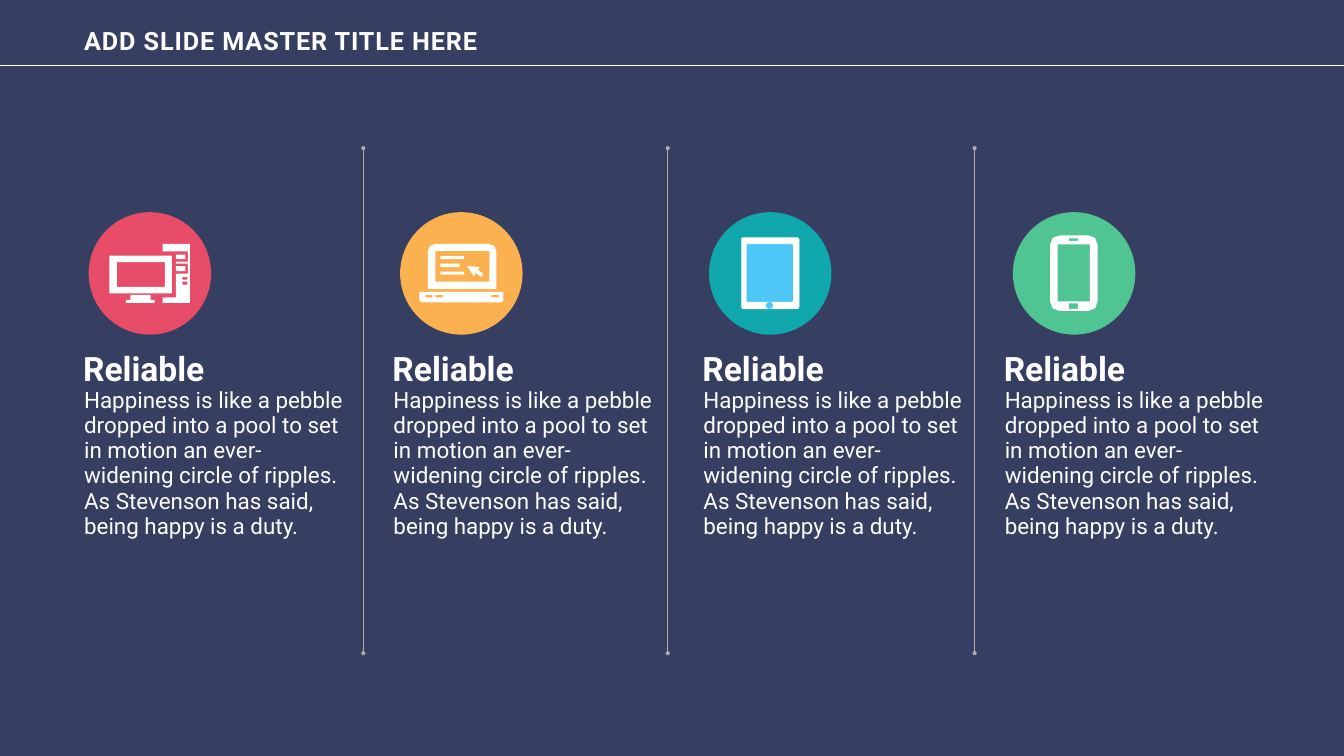
from lxml import etree
from pptx import Presentation
from pptx import util as u
from pptx.dml.color import RGBColor
from pptx.enum import shapes, text
from pptx.oxml.ns import qn

PX = u.Inches(1) // 100
WHITE = "FFFFFF"
SKY = "4EC7F6"
BODY = ("Happiness is like a pebble dropped into a pool to set in motion an "
        "ever-widening circle of ripples. As Stevenson has said, being happy is a duty.")


def paint(target, colour):
    target.solid()
    target.fore_color.rgb = RGBColor.from_string(colour)


def rectangle(left, top, right, bottom):
    return [(left, top), (right, top), (right, bottom), (left, bottom)]


deck = Presentation()
deck.slide_width = 2667 * PX
deck.slide_height = 1500 * PX
page = deck.slides.add_slide(deck.slide_layouts[6])
paint(page.background.fill, "363E62")

OVAL = shapes.MSO_SHAPE.OVAL
ROUNDED = shapes.MSO_SHAPE.ROUNDED_RECTANGLE
preset_shapes = [
    (OVAL, 2010, 421, 243, 243, "50C593", 0),
    (OVAL, 176, 421, 243, 243, "E74D69", 0),
    (OVAL, 794, 421, 243, 243, "FBB150", 0),
    (OVAL, 1407, 421, 243, 243, "10A8AD", 0),
    (ROUNDED, 1471, 471, 115, 142, WHITE, 0.04),
    (OVAL, 1520, 599, 14, 14, SKY, 0),
    (ROUNDED, 1481, 484, 93, 115, SKY, 0.03),
]
for kind, left, top, width, height, colour, radius in preset_shapes:
    shape = page.shapes.add_shape(kind, left * PX, top * PX, width * PX, height * PX)
    shape.shadow.inherit = False
    paint(shape.fill, colour)
    if kind == ROUNDED:
        shape.adjustments[0] = radius
        paint(shape.line.fill, WHITE)
        shape.line.width = u.Pt(0.25)
    else:
        shape.line.fill.background()

phone = [
    [(2084, 485), (2089, 472), (2103, 467), (2160, 467), (2173, 472), (2178, 485),
     (2178, 599), (2173, 612), (2160, 617), (2103, 617), (2089, 612), (2084, 599)],
    rectangle(2099, 485, 2163, 598),
    rectangle(2121, 602, 2139, 613),
    rectangle(2121, 473, 2139, 478),
]
computer = [
    rectangle(217, 507, 341, 582),
    rectangle(232, 520, 327, 569),
    [(323, 601), (377, 601), (377, 484), (323, 484), (323, 499), (373, 499),
     (373, 519), (349, 519), (349, 523), (373, 523), (373, 543), (349, 543),
     (349, 590), (323, 590)],
    rectangle(362, 550, 372, 555),
    rectangle(362, 559, 372, 565),
    rectangle(349, 505, 368, 514),
    rectangle(349, 528, 368, 538),
    [(250, 595), (259, 595), (259, 585), (299, 585), (299, 595), (307, 595),
     (307, 601), (250, 601)],
]
laptop = [
    [(849, 573), (849, 499), (853, 488), (864, 484), (970, 484), (981, 488),
     (985, 499), (985, 573)],
    rectangle(864, 498, 971, 559),
    rectangle(874, 539, 921, 545),
    rectangle(874, 523, 912, 530),
    rectangle(874, 508, 921, 514),
    [(927, 528), (940, 548), (944, 542), (955, 549), (959, 543), (948, 535), (952, 530)],
    [(832, 579), (999, 579), (999, 596), (994, 600), (837, 600), (832, 596)],
    rectangle(844, 585, 858, 590),
    rectangle(864, 585, 879, 590),
    rectangle(975, 585, 990, 590),
]
for icon in (phone, computer, laptop):
    builder = page.shapes.build_freeform(*icon[0][0], scale=PX)
    for contour in icon:
        builder.move_to(*contour[0])
        builder.add_line_segments(contour[1:], close=True)
    shape = builder.convert_to_shape()
    shape.shadow.inherit = False
    paint(shape.fill, WHITE)
    shape.line.fill.background()

text_boxes = [("ADD SLIDE MASTER TITLE HERE", 157, 40, 801, 78, 36, True)]
for left in (155, 769, 1384, 1982):
    text_boxes.append(("Reliable", left, 680, 272, 98, 48, True))
    text_boxes.append((BODY, left + 2, 759, 545, 320, 32, False))
for words, left, top, width, height, size, bold in text_boxes:
    box = page.shapes.add_textbox(left * PX, top * PX, width * PX, height * PX)
    frame = box.text_frame
    frame.margin_left = frame.margin_right = 10 * PX
    frame.margin_top = frame.margin_bottom = 10 * PX
    frame.word_wrap = True
    frame.auto_size = text.MSO_AUTO_SIZE.SHAPE_TO_FIT_TEXT
    frame.text = words
    para = frame.paragraphs[0]
    if words == BODY:
        para.line_spacing = u.Pt(36)
    span = para.runs[0]
    span.font.name = "Roboto"
    span.font.size = u.Pt(size)
    span.font.bold = bold
    paint(span.font.fill, WHITE)
    if size == 36:
        span.font._element.set("spc", "130")

rules = [(0, 129, 2667, 129, WHITE)]
rules += [(x, 294, x, 1296, "AFABAB") for x in (721, 1325, 1934)]
for x1, y1, x2, y2, colour in rules:
    rule = page.shapes.add_connector(
        shapes.MSO_CONNECTOR.STRAIGHT, x1 * PX, y1 * PX, x2 * PX, y2 * PX)
    paint(rule.line.fill, colour)
    rule.line.width = u.Pt(1)
    if x1 == x2:
        outline = rule.line._get_or_add_ln()
        for end in ("a:headEnd", "a:tailEnd"):
            etree.SubElement(outline, qn(end), type="oval")
    etree.SubElement(rule._element.spPr, qn("a:effectLst"))

deck.save("out.pptx")
